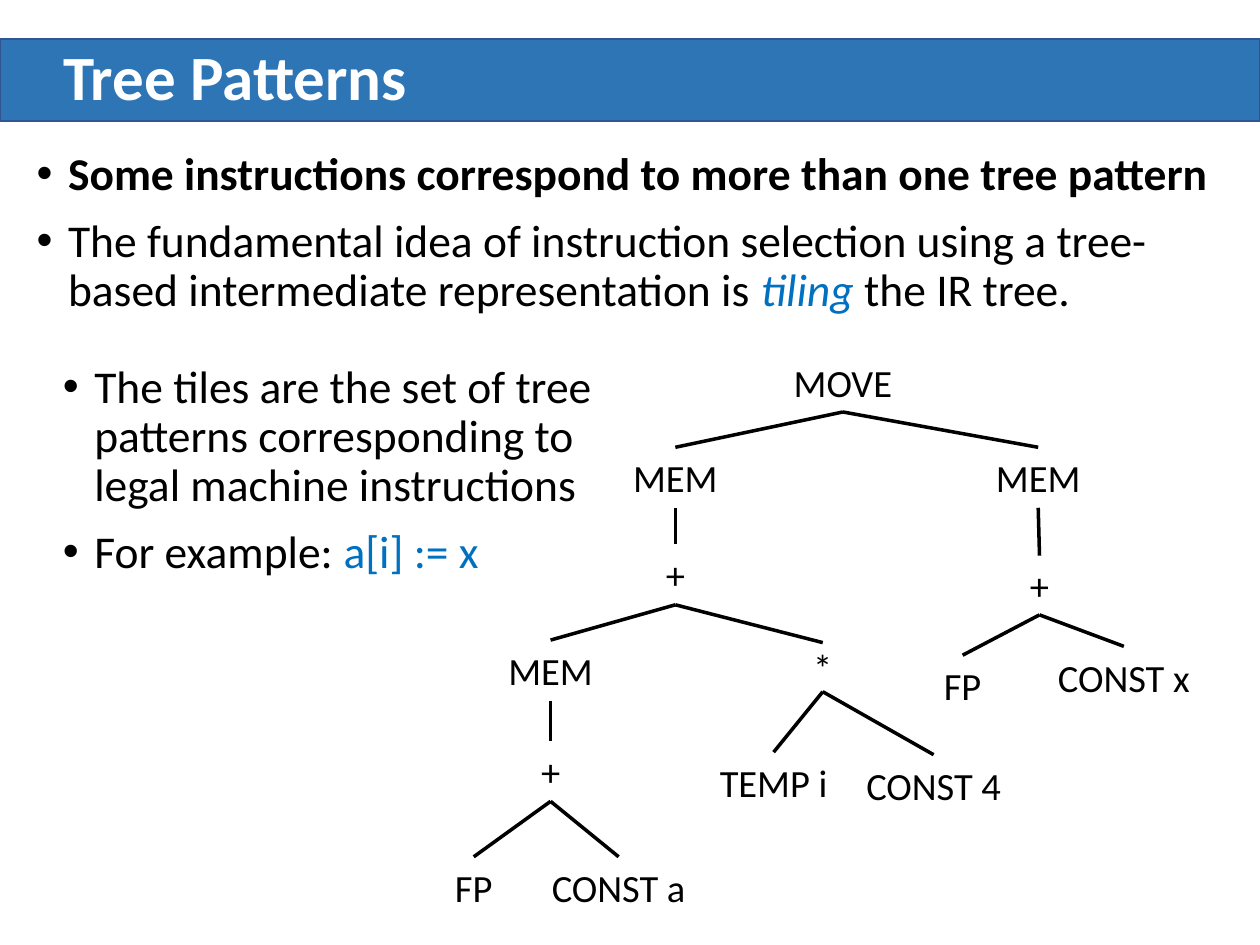
from collections import namedtuple
from dataclasses import dataclass

from lxml import etree
from pptx import Presentation
from pptx import util as u
from pptx.dml import color
from pptx.enum import shapes, text
from pptx.oxml import ns

Box = namedtuple("Box", "left top width height")
Node = namedtuple("Node", "label center top children height", defaults=((), 0.48))


@dataclass(frozen=True)
class Theme:
    font: str = "Calibri"
    ink: str = "000000"
    accent: str = "0070C0"
    band: str = "2E75B6"
    band_edge: str = "325491"
    title_ink: str = "FFFFFF"
    title_size: int = 36
    list_size: int = 26
    node_size: int = 22
    edge_width: int = 2


THEME = Theme()

# Each paragraph is a list of (words, style) spans.
MAIN_POINTS = [
    [("Some instructions correspond to more than one tree pattern", {"bold": True})],
    [("The fundamental idea of instruction selection using a tree-based "
      "intermediate representation is ", {}),
     ("tiling ", {"ink": THEME.accent, "italic": True}),
     ("the IR tree.", {})],
]
TILE_POINTS = [
    [("The tiles are the set of tree patterns corresponding to "
      "legal machine instructions", {})],
    [("For example: ", {}), ("a[i] := x", {"ink": THEME.accent})],
]

# Node centers and tops are in inches from the corner of the tree's box.
ARRAY_ADDRESS = Node("MEM", 1.23, 2.29, (
    Node("+", 1.23, 3.09, (
        Node("FP", 0.62, 4.01),
        Node("CONST a", 1.77, 4.01))),))
ELEMENT_OFFSET = Node("*", 3.39, 2.31, (
    Node("TEMP i", 3.0, 3.18),
    Node("CONST 4", 4.27, 3.2)), 0.39)
TARGET = Node("MEM", 2.22, 0.76, (
    Node("+", 2.22, 1.53, (ARRAY_ADDRESS, ELEMENT_OFFSET)),))
VALUE = Node("MEM", 5.1, 0.76, (
    Node("+", 5.11, 1.62, (
        Node("FP", 4.5, 2.41),
        Node("CONST x", 5.78, 2.34)), 0.47),))
MOVE_TREE = Node("MOVE", 3.55, 0, (TARGET, VALUE))


def inches(*lengths):
    return [u.Inches(length) for length in lengths]


def rgb(value):
    return color.RGBColor.from_string(value)


def style_span(span, size, ink=THEME.ink, bold=False, italic=False):
    font = span.font
    font.name, font.size = THEME.font, u.Pt(size)
    font.bold, font.italic = bold, italic
    font.color.rgb = rgb(ink)


def place(shape, box):
    shape.left, shape.top, shape.width, shape.height = inches(*box)


def add_title(page, box, words):
    """Put the title on a band as wide as the page."""
    band = page.shapes.add_shape(shapes.MSO_SHAPE.RECTANGLE, *inches(*box))
    band.shadow.inherit = False
    band.fill.solid()
    band.fill.fore_color.rgb = rgb(THEME.band)
    band.line.color.rgb = rgb(THEME.band_edge)
    band.line.width = u.Pt(1)
    page.shapes._spTree.insert(2, band._element)

    title = page.shapes.title
    place(title, Box(box.left + 0.4, box.top, box.width - 0.76, box.height))
    frame = title.text_frame
    frame.text = words
    frame.auto_size = text.MSO_AUTO_SIZE.NONE
    frame.vertical_anchor = text.MSO_ANCHOR.MIDDLE
    para = frame.paragraphs[0]
    para.alignment, para.line_spacing = text.PP_ALIGN.LEFT, 0.9
    style_span(para.runs[0], THEME.title_size, THEME.title_ink, bold=True)


def set_bullet(para):
    properties = para._p.get_or_add_pPr()
    properties.set("marL", str(u.Inches(0.25)))
    properties.set("indent", str(u.Inches(-0.25)))
    etree.SubElement(properties, ns.qn("a:buFont"), typeface="Arial")
    etree.SubElement(properties, ns.qn("a:buChar"), char="•")


def fill_list(shape, box, points):
    place(shape, box)
    frame = shape.text_frame
    frame.word_wrap = True
    frame.auto_size = text.MSO_AUTO_SIZE.NONE
    frame.vertical_anchor = text.MSO_ANCHOR.TOP
    for index, point in enumerate(points):
        para = frame.add_paragraph() if index else frame.paragraphs[0]
        para.line_spacing, para.space_before = 0.9, u.Pt(10)
        set_bullet(para)
        for words, style in point:
            span = para.add_run()
            span.text = words
            style_span(span, THEME.list_size, **style)


def add_node(page, box, node):
    width = 1.44 if node.label.startswith("CONST") else 1.24
    label = page.shapes.add_textbox(*inches(
        box.left + node.center - width / 2, box.top + node.top, width, node.height))
    frame = label.text_frame
    frame.word_wrap = True
    frame.vertical_anchor = text.MSO_ANCHOR.MIDDLE
    frame.text = node.label
    para = frame.paragraphs[0]
    para.alignment = text.PP_ALIGN.CENTER
    style_span(para.runs[0], THEME.node_size)


def add_edge(page, box, parent, child):
    edge = page.shapes.add_connector(shapes.MSO_CONNECTOR.STRAIGHT, *inches(
        box.left + parent.center, box.top + parent.top + parent.height,
        box.left + child.center, box.top + child.top))
    edge.line.color.rgb = rgb(THEME.ink)
    edge.line.width = u.Pt(THEME.edge_width)
    etree.SubElement(edge._element.spPr, ns.qn("a:effectLst"))


def add_tree(page, box, node):
    """Draw a node, then its subtrees, each joined to it by an edge."""
    add_node(page, box, node)
    for child in node.children:
        add_edge(page, box, node, child)
        add_tree(page, box, child)


def main():
    deck = Presentation()
    deck.slide_width, deck.slide_height = inches(10, 7.5)
    page = deck.slides.add_slide(deck.slide_layouts[1])

    add_title(page, Box(0, 0.31, 10, 0.65), "Tree Patterns")
    fill_list(page.placeholders[1], Box(0.19, 1.15, 9.53, 1.58), MAIN_POINTS)
    add_tree(page, Box(3.14, 2.79, 6.5, 4.49), MOVE_TREE)
    tile_box = Box(0.4, 2.84, 5.01, 1.82)
    fill_list(page.shapes.add_textbox(*inches(*tile_box)), tile_box, TILE_POINTS)

    deck.save("out.pptx")


if __name__ == "__main__":
    main()
